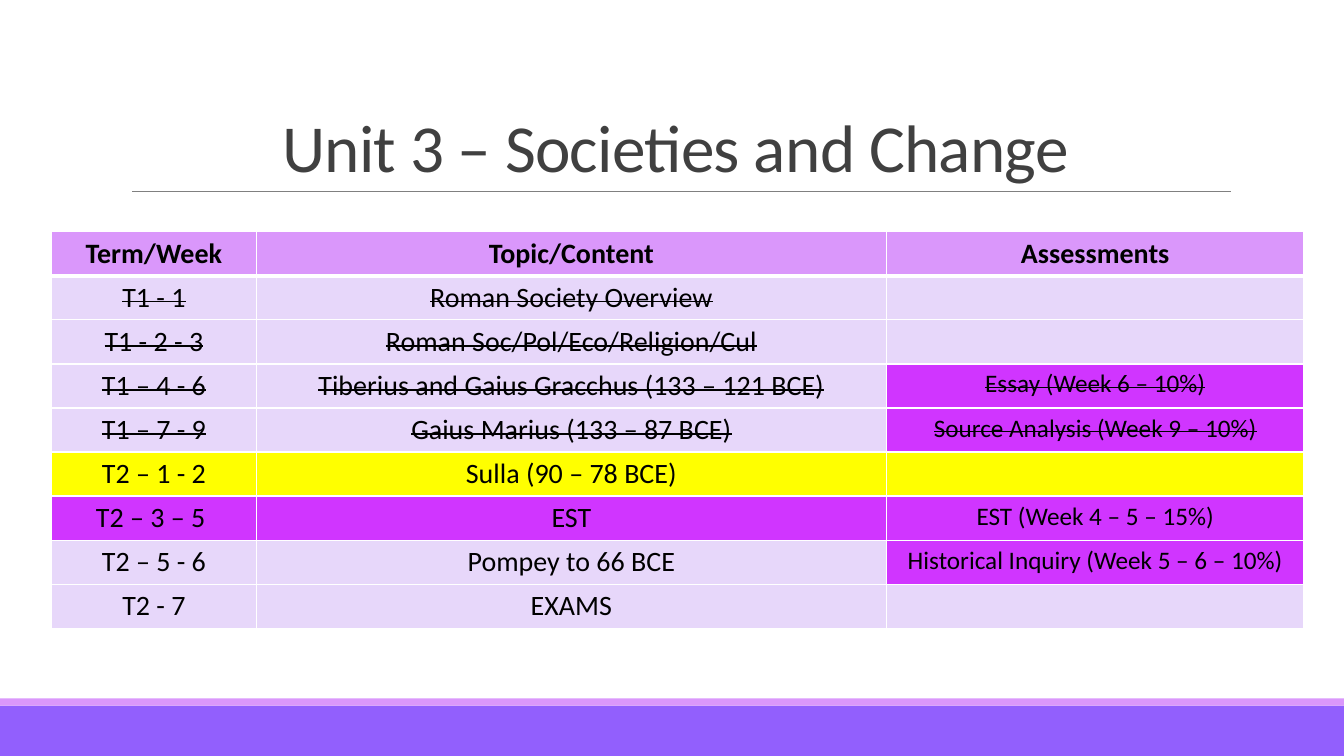
from dataclasses import dataclass

from lxml import etree
from pptx import Presentation
from pptx.dml.color import RGBColor
from pptx.enum.shapes import MSO_CONNECTOR, MSO_SHAPE
from pptx.enum.text import MSO_ANCHOR, PP_ALIGN
from pptx.oxml.ns import qn
from pptx.slide import Slide
from pptx.table import _Cell
from pptx.text.text import TextFrame
from pptx.util import Cm, Pt

STRAIGHT = MSO_CONNECTOR.STRAIGHT
RECTANGLE = MSO_SHAPE.RECTANGLE
BOTTOM = MSO_ANCHOR.BOTTOM
CENTER = PP_ALIGN.CENTER

VIOLET = RGBColor(0x92, 0x5F, 0xFD)
ORCHID = RGBColor(0xDA, 0x97, 0xFB)
LAVENDER = RGBColor(0xE7, 0xD7, 0xFA)
MAGENTA = RGBColor(0xD0, 0x35, 0xFF)
YELLOW = RGBColor(0xFF, 0xFF, 0x00)
WHITE = RGBColor(0xFF, 0xFF, 0xFF)
BLACK = RGBColor(0x00, 0x00, 0x00)
GRAY = RGBColor(0x80, 0x80, 0x80)
CHARCOAL = RGBColor(0x40, 0x40, 0x40)

FONT = "Calibri"
SLIDE_WIDTH = 33.87
SLIDE_HEIGHT = 19.05
COLUMN_WIDTHS = (5.16, 15.88, 10.52)
ROW_HEIGHT = 1.11


@dataclass(frozen=True)
class Band:
    top: float
    height: float
    color: RGBColor


@dataclass(frozen=True)
class ScheduleRow:
    week: str
    topic: str
    assessment: str = ""
    fill: RGBColor = LAVENDER
    done: bool = False
    header: bool = False


BANDS = (
    Band(17.78, 1.27, VIOLET),
    Band(17.6, 0.18, ORCHID),
)

SCHEDULE = (
    ScheduleRow("Term/Week", "Topic/Content", "Assessments", ORCHID, header=True),
    ScheduleRow("T1 - 1", "Roman Society Overview", done=True),
    ScheduleRow("T1 - 2 - 3", "Roman Soc/Pol/Eco/Religion/Cul", done=True),
    ScheduleRow("T1 – 4 - 6", "Tiberius and Gaius Gracchus (133 – 121 BCE)",
                "Essay (Week 6 – 10%)", done=True),
    ScheduleRow("T1 – 7 - 9", "Gaius Marius (133 – 87 BCE)",
                "Source Analysis (Week 9 – 10%)", done=True),
    ScheduleRow("T2 – 1 - 2", "Sulla (90 – 78 BCE)", fill=YELLOW),
    ScheduleRow("T2 – 3 – 5 ", "EST", "EST (Week 4 – 5 – 15%)", MAGENTA),
    ScheduleRow("T2 – 5 - 6", "Pompey to 66 BCE",
                "Historical Inquiry (Week 5 – 6 – 10%)"),
    ScheduleRow("T2 - 7", "EXAMS"),
)


def write_text(frame: TextFrame, text: str, size: int, color: RGBColor,
               bold: bool = False, **run_attributes: str) -> None:
    paragraph = frame.paragraphs[0]
    paragraph.alignment = CENTER
    font = paragraph.font
    font.name = FONT
    font.size = Pt(size)
    font.bold = bold
    font.color.rgb = color
    run = paragraph.add_run()
    run.text = text
    properties = run._r.get_or_add_rPr()
    for name, value in run_attributes.items():
        properties.set(name, value)


def add_band(slide: Slide, band: Band) -> None:
    shape = slide.shapes.add_shape(
        RECTANGLE, 0, Cm(band.top), Cm(SLIDE_WIDTH), Cm(band.height))
    shape.shadow.inherit = False
    shape.fill.solid()
    shape.fill.fore_color.rgb = band.color
    shape.line.fill.background()


def add_title(slide: Slide) -> None:
    rule = slide.shapes.add_connector(
        STRAIGHT, Cm(3.33), Cm(4.83), Cm(31.01), Cm(4.83))
    rule.line.color.rgb = GRAY
    rule.line.width = Pt(0.5)
    etree.SubElement(rule._element.spPr, qn("a:effectLst"))

    title = slide.shapes.add_textbox(Cm(3.05), Cm(0.79), Cm(27.94), Cm(4.04))
    frame = title.text_frame
    frame.word_wrap = True
    frame.vertical_anchor = BOTTOM
    frame.paragraphs[0].line_spacing = 0.85
    write_text(frame, "Unit 3 – Societies and Change", 48, CHARCOAL, spc="-50")


def set_borders(cell: _Cell, widths: dict[str, int]) -> None:
    properties = cell._tc.get_or_add_tcPr()
    for side, width in widths.items():
        line = etree.SubElement(properties, qn(f"a:{side}"), w=str(Pt(width)))
        fill = etree.SubElement(line, qn("a:solidFill"))
        etree.SubElement(fill, qn("a:srgbClr"), val=str(WHITE))


def fill_cell(cell: _Cell, text: str, row: ScheduleRow, assessment: bool,
              top_border: int) -> None:
    bottom_border = 3 if row.header else 1
    set_borders(cell, {"lnL": 1, "lnR": 1, "lnT": top_border, "lnB": bottom_border})
    cell.fill.solid()
    highlighted = assessment and text and not row.header
    cell.fill.fore_color.rgb = MAGENTA if highlighted else row.fill
    if text:
        strike = "sngStrike" if row.done else "noStrike"
        write_text(cell.text_frame, text, 18 if highlighted else 20, BLACK,
                   row.header, strike=strike)


def add_schedule(slide: Slide) -> None:
    table = slide.shapes.add_table(
        len(SCHEDULE), len(COLUMN_WIDTHS), Cm(1.3), Cm(5.84),
        Cm(sum(COLUMN_WIDTHS)), Cm(ROW_HEIGHT * len(SCHEDULE))).table
    table.first_row = False
    table.horz_banding = False
    for column, width in zip(table.columns, COLUMN_WIDTHS):
        column.width = Cm(width)
    for row_index, row in enumerate(SCHEDULE):
        table.rows[row_index].height = Cm(ROW_HEIGHT)
        top_border = 3 if row_index == 1 else 1
        for column_index, text in enumerate((row.week, row.topic, row.assessment)):
            fill_cell(table.cell(row_index, column_index), text, row,
                      column_index == 2, top_border)


def main() -> None:
    presentation = Presentation()
    presentation.slide_width = Cm(SLIDE_WIDTH)
    presentation.slide_height = Cm(SLIDE_HEIGHT)
    slide = presentation.slides.add_slide(presentation.slide_layouts[6])
    for band in BANDS:
        add_band(slide, band)
    add_title(slide)
    add_schedule(slide)
    presentation.save("out.pptx")


if __name__ == "__main__":
    main()
